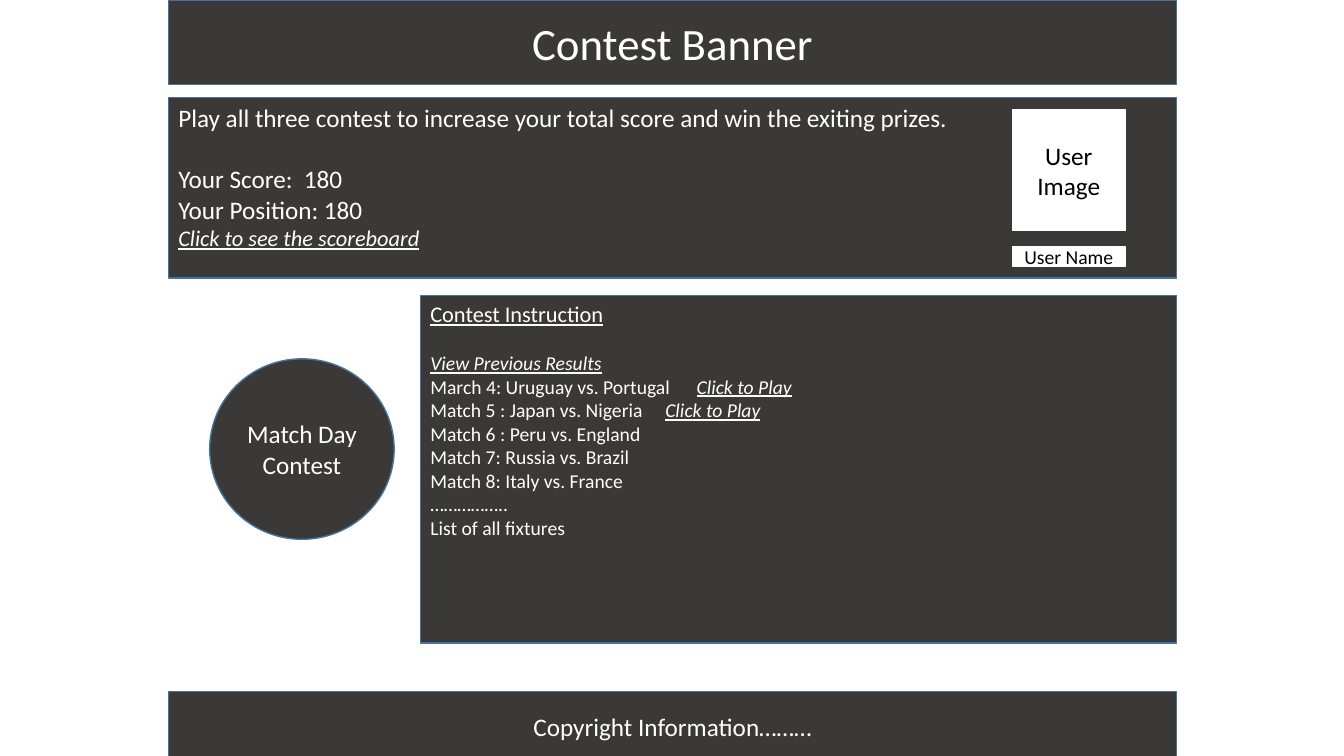
from dataclasses import dataclass

from lxml.etree import SubElement
from pptx import Presentation
from pptx.dml.color import RGBColor
from pptx.enum.shapes import MSO_SHAPE as Preset
from pptx.enum.text import MSO_ANCHOR as Anchor, PP_ALIGN as Align
from pptx.oxml.ns import qn
from pptx.util import Inches, Pt


@dataclass(frozen=True)
class Theme:
    """Colours, font and type sizes of the page."""
    font: str = "Calibri"
    panel: str = "3B3838"
    edge: str = "43739E"
    white: str = "FFFFFF"
    black: str = "000000"
    banner: int = 32
    body: int = 18
    link: int = 16
    small: int = 14
    line_height: float = 1.22


THEME = Theme()
LEFT, WIDTH = 1.67, 10
FIXTURES = [
    ("March 4: Uruguay vs. Portugal", 2.64),
    ("Match 5 : Japan vs. Nigeria", 2.33),
    ("Match 6 : Peru vs. England", None),
    ("Match 7: Russia vs. Brazil", None),
    ("Match 8: Italy vs. France", None),
    ("……………..", None),
    ("List of all fixtures", None),
]


def add_box(page, area, preset=Preset.RECTANGLE, fill=THEME.panel, edge=THEME.edge):
    """Add a filled, outlined shape whose area is left, top, width, height."""
    box = page.shapes.add_shape(preset, *map(Inches, area))
    box.shadow.inherit = False
    box.fill.solid()
    box.fill.fore_color.rgb = RGBColor.from_string(fill)
    box.line.color.rgb = RGBColor.from_string(edge)
    box.line.width = Pt(1)
    box.text_frame.word_wrap = True
    return box


def add_span(para, text, size, color=THEME.white, italic=False, underline=False):
    """Add one styled run to a paragraph."""
    span = para.add_run()
    span.text = text
    span.font.name = THEME.font
    span.font.size = Pt(size)
    span.font.color.rgb = RGBColor.from_string(color)
    span.font.italic = italic
    span.font.underline = underline


def add_label(page, area, text, size=THEME.body, color=THEME.white, **look):
    """Add a box with one centred line of text."""
    box = add_box(page, area, **look)
    box.text_frame.vertical_anchor = Anchor.MIDDLE
    para = box.text_frame.paragraphs[0]
    para.alignment = Align.CENTER
    add_span(para, text, size, color)


def add_text_panel(page, area):
    """Add a box for top-aligned text and return its text frame."""
    frame = add_box(page, area).text_frame
    frame.vertical_anchor = Anchor.TOP
    return frame


def add_line(frame, text, size, gap=0, **style):
    """Add a left-aligned line, below a gap given as a type size."""
    first = frame.paragraphs[0]
    para = frame.add_paragraph() if first.runs else first
    para.alignment = Align.LEFT
    if gap:
        para.space_before = Pt(round(gap * THEME.line_height))
    add_span(para, text, size, **style)
    return para


def add_tab_stop(para, position):
    """Set one left tab stop on a paragraph."""
    stops = SubElement(para._p.get_or_add_pPr(), qn("a:tabLst"))
    SubElement(stops, qn("a:tab"), pos=str(Inches(position)), algn="l")


def add_score_panel(page):
    """Add the panel with the player's score and position."""
    frame = add_text_panel(page, (LEFT, 0.97, WIDTH, 1.79))
    add_line(frame, "Play all three contest to increase your total score "
             "and win the exiting prizes.", THEME.body)
    add_line(frame, "Your Score:  180", THEME.body, gap=THEME.body)
    add_line(frame, "Your Position: 180", THEME.body)
    add_line(frame, "Click to see the scoreboard", THEME.link, italic=True, underline=True)


def add_instruction_panel(page):
    """Add the panel with the instructions and the list of fixtures."""
    frame = add_text_panel(page, (4.17, 2.93, 7.5, 3.45))
    add_line(frame, "Contest Instruction", THEME.link, underline=True)
    add_line(frame, "View Previous Results", THEME.small, gap=THEME.small,
             italic=True, underline=True)
    for fixture, play_position in FIXTURES:
        para = add_line(frame, fixture, THEME.small)
        if play_position:
            add_tab_stop(para, play_position)
            add_span(para, "\t", THEME.small)
            add_span(para, "Click to Play", THEME.small, italic=True, underline=True)


def main():
    """Build the contest page and save it."""
    deck = Presentation()
    deck.slide_width, deck.slide_height = Inches(13.33), Inches(7.5)
    page = deck.slides.add_slide(deck.slide_layouts[6])
    add_score_panel(page)
    add_label(page, (2.08, 3.56, 1.83, 1.79), "Match Day Contest", preset=Preset.OVAL)
    add_label(page, (LEFT, 6.86, WIDTH, 0.69), "Copyright Information………")
    add_label(page, (LEFT, 0, WIDTH, 0.84), "Contest Banner", THEME.banner)
    add_instruction_panel(page)
    card = {"color": THEME.black, "fill": THEME.white, "edge": THEME.white}
    add_label(page, (10.04, 1.09, 1.12, 1.2), "User Image", **card)
    add_label(page, (10.04, 2.45, 1.12, 0.19), "User Name", THEME.small, **card)
    deck.save("out.pptx")


if __name__ == "__main__":
    main()
